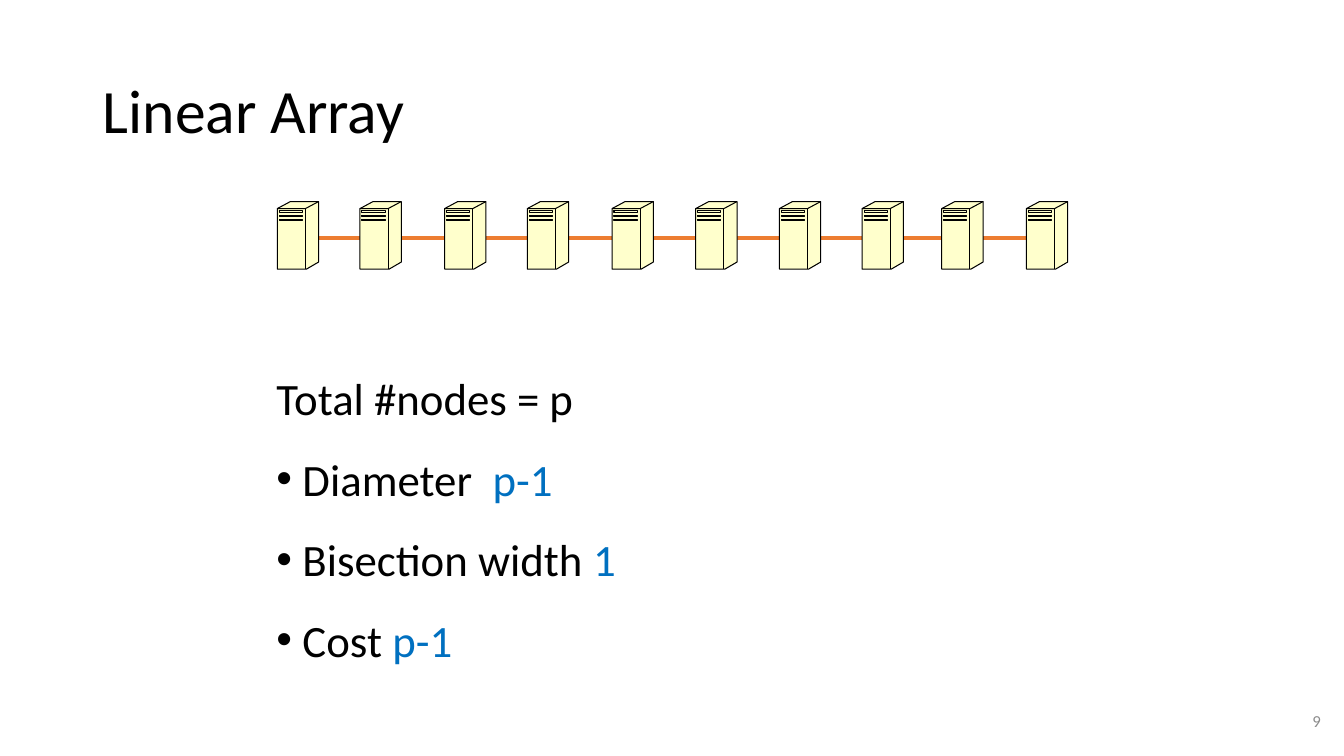
"""Build the Linear Array slide: a chain of ten nodes and its key properties."""
from dataclasses import dataclass

from lxml.etree import SubElement
from pptx import Presentation
from pptx.dml.color import RGBColor
from pptx.enum.shapes import MSO_CONNECTOR as CONN
from pptx.enum.text import MSO_ANCHOR as ANCHOR, MSO_AUTO_SIZE as FIT, PP_ALIGN as ALIGN
from pptx.oxml.ns import qn
from pptx.util import Inches, Pt

FONT = "Calibri"
BLACK, BLUE, GRAY = "000000", "0070C0", "8C8C8C"
CREAM, ORANGE = "FFFFCC", "ED7D31"
NODE_TOP, NODE_W, NODE_H = 2.0, 0.41, 0.67
FRONT_W, FRONT_TOP = 0.28, 0.07
LINK_Y = 2.36
BULLET_INDENT = 0.26


@dataclass
class Contour:
    points: list[tuple[float, float]]
    close: bool = True


@dataclass
class Property:
    label: str
    value: str = ""


NODE_LEFTS = [2.75, 3.57, 4.41, 5.23, 6.07, 6.9, 7.73, 8.55, 9.34, 10.18]
CABINET = [Contour([(0, FRONT_TOP), (0.13, 0), (NODE_W, 0), (NODE_W, 0.6),
                    (0.29, NODE_H), (0, NODE_H)])]
EDGES = [Contour([(0, FRONT_TOP), (FRONT_W, FRONT_TOP), (NODE_W, 0)], False),
         Contour([(FRONT_W, FRONT_TOP), (FRONT_W, NODE_H)], False)]
VENTS = [Contour([(0.02, y), (0.25, y), (0.25, y + h), (0.02, y + h)])
         for y, h in ((0.09, 0.02), (0.14, 0.01), (0.18, 0.01))]
PROPERTIES = [Property("Total #nodes = p"), Property("Diameter  ", "p-1"),
              Property("Bisection width ", "1"), Property("Cost ", "p-1")]


def rgb(value: str) -> RGBColor:
    return RGBColor.from_string(value)


def place(sp, left: float, top: float, width: float, height: float) -> None:
    sp.left, sp.top = Inches(left), Inches(top)
    sp.width, sp.height = Inches(width), Inches(height)


def style_run(r, size: float, color: str) -> None:
    r.font.name, r.font.size = FONT, Pt(size)
    r.font.color.rgb = rgb(color)


def set_bullet(p, bulleted: bool) -> None:
    pPr = p._p.get_or_add_pPr()
    indent = Inches(BULLET_INDENT) if bulleted else 0
    pPr.set("marL", str(indent))
    pPr.set("indent", str(-indent))
    if bulleted:
        SubElement(pPr, qn("a:buFont"), typeface="Arial")
        SubElement(pPr, qn("a:buChar"), char="•")
    else:
        SubElement(pPr, qn("a:buNone"))


def build_outline(shapes, left: float, contours: list[Contour]):
    paths = [[(Inches(left + x), Inches(NODE_TOP + y)) for x, y in c.points]
             for c in contours]
    builder = shapes.build_freeform(*paths[0][0], scale=1.0)
    for i, (path, contour) in enumerate(zip(paths, contours)):
        if i:
            builder.move_to(*path[0])
        builder.add_line_segments(path[1:], close=contour.close)
    return builder.convert_to_shape()


def add_node(shapes, left: float) -> None:
    node = build_outline(shapes, left, CABINET)
    details = build_outline(shapes, left, EDGES + VENTS)._element
    strokes = details.find(f".//{qn('a:path')}")
    strokes.set("fill", "none")
    node._element.find(f".//{qn('a:pathLst')}").append(strokes)
    details.getparent().remove(details)
    node.shadow.inherit = False
    node.fill.solid()
    node.fill.fore_color.rgb = rgb(CREAM)
    node.line.color.rgb, node.line.width = rgb(BLACK), Pt(0.75)


def add_link(shapes) -> None:
    link = shapes.add_connector(CONN.STRAIGHT, Inches(NODE_LEFTS[0]), Inches(LINK_Y),
                                Inches(NODE_LEFTS[-1] + NODE_W), Inches(LINK_Y))
    link.line.color.rgb, link.line.width = rgb(ORANGE), Pt(3)
    SubElement(link._element.spPr, qn("a:effectLst"))


def add_array(s) -> None:
    array = s.shapes.add_group_shape()
    add_link(array.shapes)
    for left in NODE_LEFTS:
        add_node(array.shapes, left)


def add_title(s) -> None:
    title = s.shapes.title
    place(title, 0.92, 0.4, 11.5, 1.45)
    tf = title.text_frame
    tf.text = "Linear Array"
    tf.auto_size, tf.vertical_anchor = FIT.NONE, ANCHOR.MIDDLE
    p = tf.paragraphs[0]
    p.alignment, p.line_spacing = ALIGN.LEFT, 0.9
    style_run(p.runs[0], 44, BLACK)


def add_properties(s) -> None:
    body = s.placeholders[1]
    place(body, 2.64, 3.36, 6.99, 3.25)
    tf = body.text_frame
    tf.text = "\n".join(prop.label for prop in PROPERTIES)
    tf.auto_size, tf.vertical_anchor = FIT.NONE, ANCHOR.TOP
    for p, prop in zip(tf.paragraphs, PROPERTIES):
        set_bullet(p, bool(prop.value))
        p.line_spacing, p.space_before = 1.5, Pt(0)
        style_run(p.runs[0], 32, BLACK)
        if prop.value:
            r = p.add_run()
            r.text = prop.value
            style_run(r, 32, BLUE)


def add_page_number(s) -> None:
    box = s.shapes.add_textbox(Inches(10.2), Inches(6.95), Inches(3), Inches(0.4))
    tf = box.text_frame
    tf.text = "9"
    tf.word_wrap, tf.vertical_anchor = True, ANCHOR.MIDDLE
    p = tf.paragraphs[0]
    p.alignment = ALIGN.RIGHT
    style_run(p.runs[0], 12, GRAY)


def main() -> None:
    prs = Presentation()
    prs.slide_width, prs.slide_height = Inches(13.33), Inches(7.5)
    s = prs.slides.add_slide(prs.slide_layouts[1])
    add_title(s)
    add_array(s)
    add_properties(s)
    add_page_number(s)
    prs.save("out.pptx")


if __name__ == "__main__":
    main()
